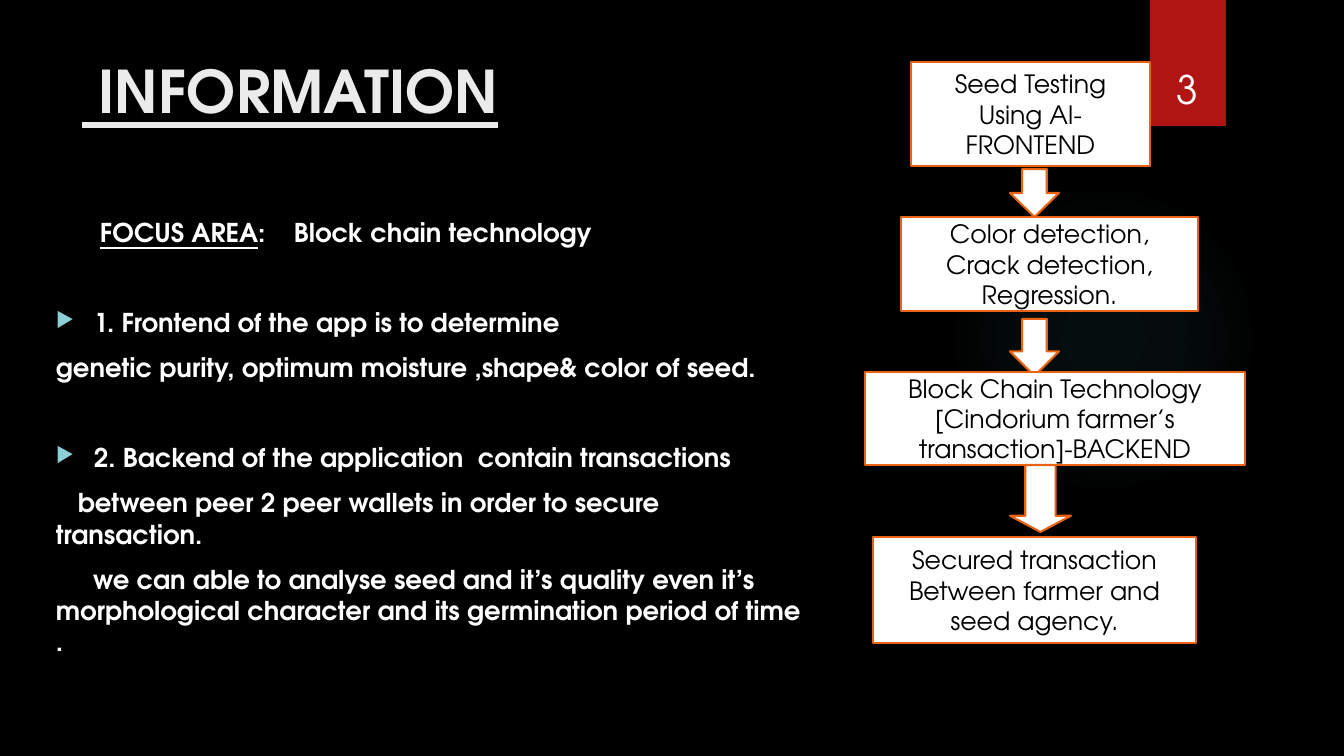
"""Build the INFORMATION slide: focus area text beside a four-step flow chart."""
from lxml import etree
from pptx import Presentation
from pptx.dml.color import RGBColor
from pptx.enum.shapes import MSO_SHAPE
from pptx.enum.text import MSO_ANCHOR, PP_ALIGN
from pptx.oxml import parse_xml
from pptx.oxml.ns import nsdecls, qn
from pptx.util import Pt

RECTANGLE, OVAL, DOWN_ARROW = MSO_SHAPE.RECTANGLE, MSO_SHAPE.OVAL, MSO_SHAPE.DOWN_ARROW
TOP, MIDDLE, BOTTOM = MSO_ANCHOR.TOP, MSO_ANCHOR.MIDDLE, MSO_ANCHOR.BOTTOM
LEFT, CENTER = PP_ALIGN.LEFT, PP_ALIGN.CENTER

FONT = "TeX Gyre Adventor"
COLORS = {"back": "000000", "title": "EBEBEB", "white": "FFFFFF", "black": "000000",
          "tag": "B01513", "edge": "EA6312", "bullet": "8AD0D6", "glow": "50B9C1"}

TITLE = " INFORMATION"
NUMBER = "3"
FOCUS = ("FOCUS AREA", ":\tBlock chain technology")
FOCUS_INDENT, FOCUS_TAB, BULLET_INDENT = 44, 238, 38
GAP, WIDE_GAP = 10, 42
# text, space before in points, bulleted, first line indent in px
POINTS = [
    ("1. Frontend of the app is to determine", WIDE_GAP, True, 0),
    ("genetic purity, optimum moisture ,shape& color of seed.", GAP, False, 0),
    ("2. Backend of the application  contain transactions", WIDE_GAP, True, 0),
    ("between peer 2 peer wallets in order to secure transaction.", GAP, False, 22),
    ("we can able to analyse seed and it’s quality even it’s morphological "
     "character and its germination period of time .", GAP, False, 37),
]
STEPS = [
    ((911, 62, 239, 104), ["Seed Testing Using AI-FRONTEND"]),
    ((901, 217, 297, 94), ["Color detection,", "Crack detection,", "Regression."]),
    ((865, 372, 380, 93), ["Block Chain Technology",
                           "[Cindorium farmer’s transaction]-BACKEND"]),
    ((873, 537, 323, 106), ["Secured transaction", "Between farmer and seed agency."]),
]
ARROWS = [((1010, 169, 49, 48), 0.5), ((1010, 319, 49, 57), 0.5), ((1010, 465, 61, 67), 0.265)]
GLOW_STOPS = [(0, 7), (36, 6), (69, 0)]


def px(length):
    return round(length * 914400 / 100.8)


def place(box):
    return [px(length) for length in box]


def color(name):
    return RGBColor.from_string(COLORS[name])


def style(paragraph, size, name, align=LEFT, bold=False):
    paragraph.alignment = align
    font = paragraph.font
    font.name, font.size, font.bold = FONT, Pt(size), bold
    font.color.rgb = color(name)


def add_shape(page, kind, box, fill, edge=None):
    shape = page.shapes.add_shape(kind, *place(box))
    shape.shadow.inherit = False
    shape.fill.solid()
    shape.fill.fore_color.rgb = color(fill)
    if edge:
        shape.line.color.rgb = color(edge)
        shape.line.width = Pt(1.5)
    else:
        shape.line.fill.background()
    return shape


def add_glow(page):
    shape = add_shape(page, OVAL, (949, 184, 310, 310), "glow")
    stops = "".join(
        f'<a:gs pos="{at * 1000}"><a:srgbClr val="{COLORS["glow"]}">'
        f'<a:alpha val="{alpha * 1000}"/></a:srgbClr></a:gs>' for at, alpha in GLOW_STOPS)
    gradient = parse_xml(
        f'<a:gradFill {nsdecls("a")}><a:gsLst>{stops}</a:gsLst><a:path path="circle">'
        '<a:fillToRect l="50000" t="50000" r="50000" b="50000"/></a:path></a:gradFill>')
    properties = shape.element.spPr
    properties.replace(properties.find(qn("a:solidFill")), gradient)


def set_indent(paragraph, margin, first):
    properties = paragraph._p.get_or_add_pPr()
    properties.set("marL", str(px(margin)))
    properties.set("indent", str(px(first)))
    return properties


def add_bullet(properties):
    tint = etree.SubElement(properties, qn("a:buClr"))
    etree.SubElement(tint, qn("a:srgbClr")).set("val", COLORS["bullet"])
    etree.SubElement(properties, qn("a:buSzPct")).set("val", "80000")
    etree.SubElement(properties, qn("a:buChar")).set("char", "▶")


def add_body(page):
    frame = page.shapes.add_textbox(*place((46, 212, 771, 460))).text_frame
    frame.word_wrap = True
    focus = frame.paragraphs[0]
    set_indent(focus, 0, FOCUS_INDENT).set("defTabSz", str(px(FOCUS_TAB)))
    for text, underline in zip(FOCUS, (True, False)):
        span = focus.add_run()
        span.text = text
        span.font.underline = underline
    style(focus, 18.5, "white", bold=True)
    for text, gap, bulleted, first in POINTS:
        paragraph = frame.add_paragraph()
        paragraph.text = text
        paragraph.space_before = Pt(gap)
        if bulleted:
            add_bullet(set_indent(paragraph, BULLET_INDENT, -BULLET_INDENT))
        else:
            set_indent(paragraph, 0, first)
        style(paragraph, 18.5, "white", bold=True)


def add_flow(page):
    for index, (box, lines) in enumerate(STEPS):
        if index:
            arrow_box, head = ARROWS[index - 1]
            arrow = add_shape(page, DOWN_ARROW, arrow_box, "white", "edge")
            arrow.adjustments[1] = head
        frame = add_shape(page, RECTANGLE, box, "white", "edge").text_frame
        frame.word_wrap = True
        frame.vertical_anchor = MIDDLE
        frame.text = "\n".join(lines)
        for paragraph in frame.paragraphs:
            style(paragraph, 18, "black", CENTER)


def main():
    deck = Presentation()
    deck.slide_width, deck.slide_height = px(1344), px(756)
    page = deck.slides.add_slide(deck.slide_layouts[5])
    page.background.fill.solid()
    page.background.fill.fore_color.rgb = color("back")

    add_glow(page)
    add_shape(page, RECTANGLE, (1150, 0, 76, 126), "tag")

    title = page.shapes.title
    title.left, title.top, title.width, title.height = place((72, 50, 1037, 116))
    title.text_frame.text = TITLE
    title.text_frame.vertical_anchor = TOP
    heading = title.text_frame.paragraphs[0]
    style(heading, 42, "title", bold=True)
    heading.font.underline = True

    add_body(page)

    number = page.shapes.add_textbox(*place((1141, 32, 93, 85))).text_frame
    number.text = NUMBER
    number.word_wrap = True
    number.vertical_anchor = BOTTOM
    style(number.paragraphs[0], 28, "white", CENTER)

    add_flow(page)
    deck.save("out.pptx")


if __name__ == "__main__":
    main()
